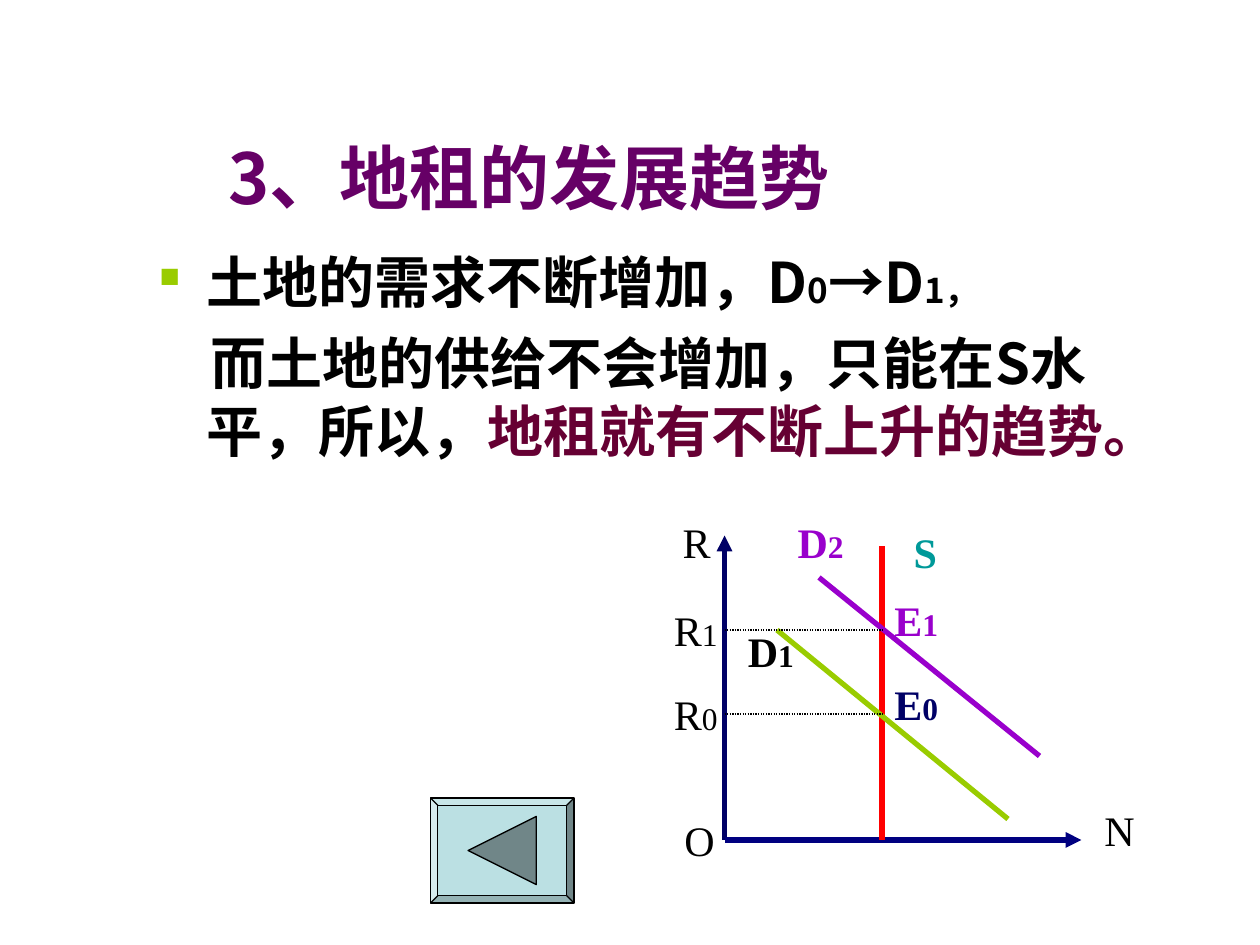
from lxml.etree import SubElement
from pptx import Presentation
from pptx.dml.color import RGBColor
from pptx.enum.dml import MSO_LINE
from pptx.enum.shapes import MSO_CONNECTOR, MSO_SHAPE
from pptx.enum.text import MSO_ANCHOR, MSO_AUTO_SIZE
from pptx.oxml.ns import qn
from pptx.util import Pt

SANS, SERIF = "Noto Sans CJK SC", "Times New Roman"
BLACK, NAVY, PURPLE, GREEN = "000000", "000066", "9900CC", "99CC00"

# Content: runs are (text, size, colour, bold)
TITLE = [("3、地租的发展趋势", 40, "660066", True)]
DEMAND = [
    ("土地的需求不断增加，D", 32, BLACK, True),
    ("0", 20, BLACK, True),
    ("→D", 32, BLACK, True),
    ("1，", 20, BLACK, True),
]
SUPPLY = [
    ("而土地的供给不会增加，只能在S水平，所以，", 32, BLACK, True),
    ("地租就有不断上升的趋势。", 32, "660033", True),
]

# Diagram geometry
ORIGIN_X, ORIGIN_Y, SUPPLY_X = 414, 480, 504
RENT_LEVELS = (408, 360)

# Lines: start, end, colour, width, arrow, dotted
LINES = [
    ((ORIGIN_X, ORIGIN_Y), (ORIGIN_X, 306), NAVY, 3, True, False),
    ((ORIGIN_X, ORIGIN_Y), (618, ORIGIN_Y), "000080", 3, True, False),
    ((SUPPLY_X, ORIGIN_Y), (SUPPLY_X, 312), "FF0000", 3, False, False),
    ((444, 360), (576, 468), GREEN, 3, False, False),
    ((468, 330), (594, 432), PURPLE, 3, False, False),
] + [
    ((ORIGIN_X, level), (SUPPLY_X, level), BLACK, 0.75, False, True)
    for level in RENT_LEVELS
]

# Labels: letter, index, left, top, width, colour, bold
LABELS = [
    ("R", "", 383, 291.6, 30.4, BLACK, False),
    ("N", "", 624, 456, 31.7, BLACK, False),
    ("O", "", 384, 462, 31.7, BLACK, False),
    ("S", "", 515, 297.6, 27.4, "009999", True),
    ("D", "1", 420.3, 354, 40.8, BLACK, True),
    ("D", "2", 448.7, 291.6, 40.8, PURPLE, True),
    ("E", "0", SUPPLY_X, 384, 39.6, NAVY, True),
    ("E", "1", SUPPLY_X, 336, 39.6, PURPLE, True),
    ("R", "0", 378, 390, 39.6, BLACK, False),
    ("R", "1", 378, 342, 39.6, BLACK, False),
]


def color(value):
    return RGBColor.from_string(value)


def add_box(page, left, top, width, height, wrap=True):
    box = page.shapes.add_textbox(Pt(left), Pt(top), Pt(width), Pt(height))
    box.text_frame.word_wrap = wrap
    return box.text_frame


def add_runs(para, runs, font):
    for text, size, ink, bold in runs:
        span = para.add_run()
        span.text = text
        span.font.size = Pt(size)
        span.font.bold = bold
        span.font.name = font
        span.font.color.rgb = color(ink)
        SubElement(span.font._element, qn("a:ea")).set("typeface", font)


def indent(para, margin, first):
    properties = para._p.get_or_add_pPr()
    properties.set("marL", str(Pt(margin)))
    properties.set("indent", str(Pt(first)))
    properties.set("hangingPunct", "0")
    return properties


def add_bullet(properties, ink):
    bullet_color = SubElement(properties, qn("a:buClr"))
    SubElement(bullet_color, qn("a:srgbClr")).set("val", ink)
    SubElement(properties, qn("a:buSzPct")).set("val", "50000")
    SubElement(properties, qn("a:buFont")).set("typeface", "Wingdings")
    SubElement(properties, qn("a:buChar")).set("char", "n")


def add_line(page, start, end, ink, width, arrow, dotted):
    line = page.shapes.add_connector(
        MSO_CONNECTOR.STRAIGHT, *(Pt(value) for value in start + end))
    line.line.color.rgb = color(ink)
    line.line.width = Pt(width)
    if dotted:
        line.line.dash_style = MSO_LINE.ROUND_DOT
    if arrow:
        SubElement(line.line._get_or_add_ln(), qn("a:tailEnd")).set("type", "triangle")
    SubElement(line._element.spPr, qn("a:effectLst"))


def add_solid(page, kind, left, top, width, height, fill):
    shape = page.shapes.add_shape(kind, Pt(left), Pt(top), Pt(width), Pt(height))
    shape.shadow.inherit = False
    shape.fill.solid()
    shape.fill.fore_color.rgb = color(fill)
    shape.line.color.rgb = color(BLACK)
    shape.line.width = Pt(0.75)
    return shape


deck = Presentation()
deck.slide_width, deck.slide_height = Pt(720), Pt(540)
page = deck.slides.add_slide(deck.slide_layouts[6])

# Title
frame = add_box(page, 84, 56, 600, 90)
frame.vertical_anchor = MSO_ANCHOR.MIDDLE
indent(frame.paragraphs[0], 39.4, 0)
add_runs(frame.paragraphs[0], TITLE, SANS)

# Body text
frame = add_box(page, 84, 138, 600, 132)
para = frame.paragraphs[0]
add_bullet(indent(para, 27, -27), GREEN)
add_runs(para, DEMAND, SANS)
para = frame.add_paragraph()
para.space_before = Pt(8)
indent(para, 27, 2)
add_runs(para, SUPPLY, SANS)

# Supply and demand diagram
for line in LINES:
    add_line(page, *line)
for letter, index, left, top, width, ink, bold in LABELS:
    frame = add_box(page, left, top, width, 36, wrap=False)
    frame.auto_size = MSO_AUTO_SIZE.SHAPE_TO_FIT_TEXT
    runs = [(letter, 24, ink, bold)]
    if index:
        runs.append((index, 18, ink, bold))
    add_runs(frame.paragraphs[0], runs, SERIF)

# Back button
button = add_solid(page, MSO_SHAPE.BEVEL, 246, 456, 82, 60, "BBE0E3")
button.adjustments[0] = 0.07
arrow = add_solid(page, MSO_SHAPE.ISOSCELES_TRIANGLE, 267.5, 466.5, 39, 39, "708688")
arrow.rotation = 270

deck.save("out.pptx")
